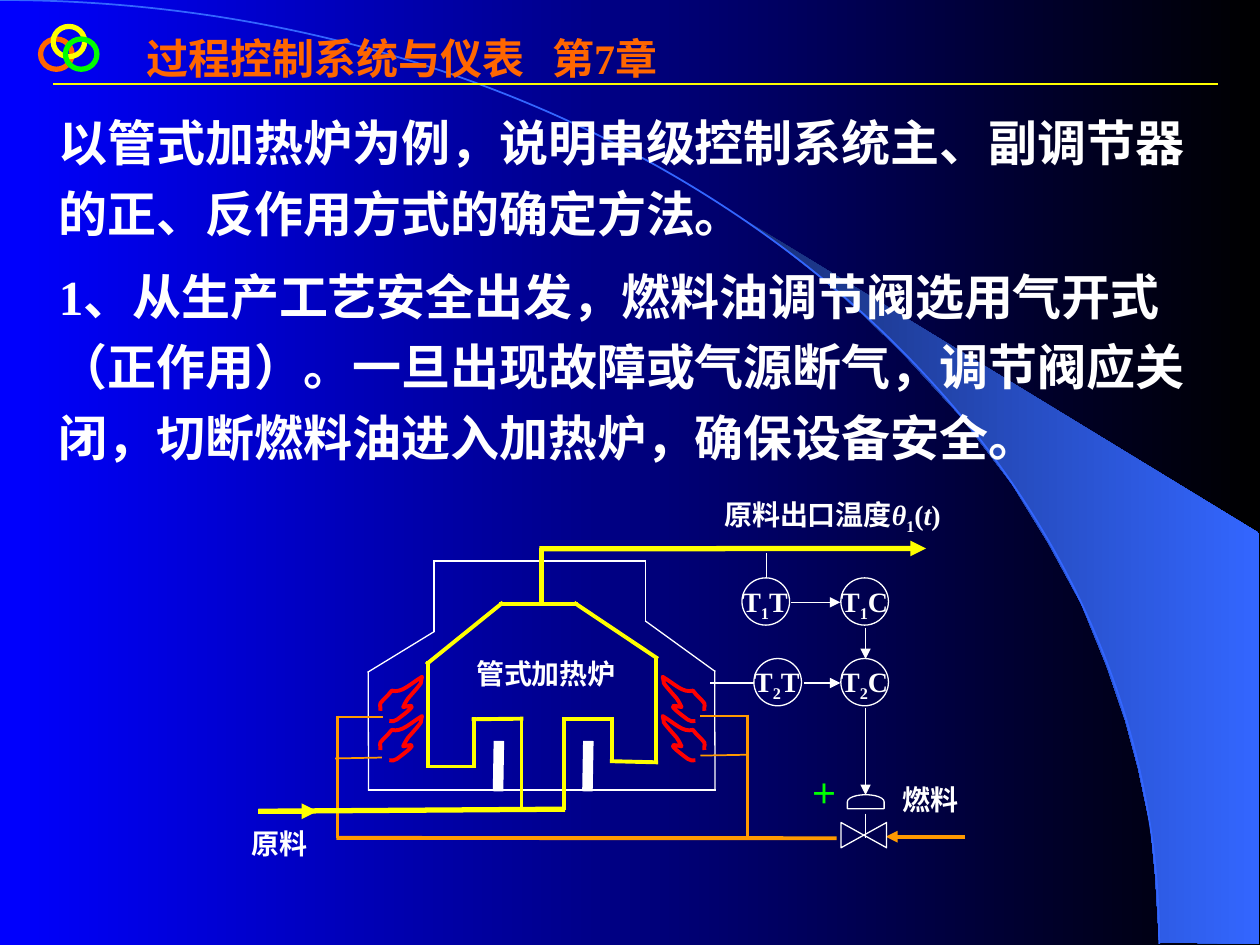
from dataclasses import dataclass
from itertools import pairwise

from lxml import etree
from pptx import Presentation
from pptx.dml.color import RGBColor
from pptx.enum import shapes, text
from pptx.oxml.ns import qn
from pptx.util import Pt


@dataclass(frozen=True)
class Theme:
    font: str = "Times New Roman"
    title_size: int = 24
    body_size: int = 28
    label_size: int = 16
    blue: RGBColor = RGBColor.from_string("0000FF")
    black: RGBColor = RGBColor.from_string("000000")
    navy: RGBColor = RGBColor.from_string("182F76")
    sky: RGBColor = RGBColor.from_string("3366FF")
    white: RGBColor = RGBColor.from_string("FFFFFF")
    yellow: RGBColor = RGBColor.from_string("FFFF00")
    orange: RGBColor = RGBColor.from_string("FF6600")
    amber: RGBColor = RGBColor.from_string("FF9900")
    red: RGBColor = RGBColor.from_string("FF0000")
    green: RGBColor = RGBColor.from_string("00FF00")


theme = Theme()
presentation = Presentation()
presentation.slide_width, presentation.slide_height = Pt(720), Pt(540)
slide = presentation.slides.add_slide(presentation.slide_layouts[5])


def add_text(box, paragraphs, size=theme.label_size, color=theme.white, spacing=1.0,
             before=0, anchor=text.MSO_ANCHOR.TOP, wrap=True, shape=None):
    """Fill a box; each paragraph is a string or a list of (text, style) runs."""
    left, top, width, height = map(Pt, box)
    if shape is None:
        shape = slide.shapes.add_textbox(left, top, width, height)
    shape.left, shape.top, shape.width, shape.height = left, top, width, height
    frame = shape.text_frame
    frame.word_wrap, frame.vertical_anchor = wrap, anchor
    frame.auto_size = text.MSO_AUTO_SIZE.NONE
    for index, runs in enumerate(paragraphs):
        paragraph = frame.add_paragraph() if index else frame.paragraphs[0]
        paragraph.alignment = text.PP_ALIGN.LEFT
        paragraph.line_spacing = spacing
        paragraph.space_before = Pt(before if index else 0)
        for words, style in [(runs, "")] if isinstance(runs, str) else runs:
            run = paragraph.add_run()
            run.text = words
            run.font.name, run.font.size, run.font.bold = theme.font, Pt(size), True
            run.font.color.rgb = color
            if style == "italic":
                run.font.italic = True
            elif style == "sub":
                run._r.get_or_add_rPr().set("baseline", "-25000")
    return shape


def add_outline(points, closed=False, curved=False):
    """Draw a freeform; when curved, every three points make one cubic curve."""
    first, *rest = [(Pt(x), Pt(y)) for x, y in points]
    builder = slide.shapes.build_freeform(*first)
    builder.add_line_segments(rest, close=closed)
    shape = builder.convert_to_shape()
    shape.shadow.inherit = False
    if curved:
        outline = next(shape._element.iter(qn("a:path")))
        for index, segment in enumerate(outline.findall(qn("a:lnTo"))):
            if index % 3 == 0:
                curve = etree.SubElement(outline, qn("a:cubicBezTo"))
            curve.append(segment[0])
            outline.remove(segment)
    return shape


# Background and light wedge beside the arc
wedge = add_outline([
    (662.4, 538.6), (719.3, 539.3), (719.3, 304.6), (424, 124.6), (449.3, 143.3),
    (470.2, 159.8), (493.2, 180), (515.5, 201.6), (548.6, 237.6), (578.2, 276.5),
    (599, 310.3), (617.8, 344.9), (632.2, 380.2), (643, 411.8), (650.2, 438.5),
    (657.4, 472.3), (660.2, 501.1), (662.4, 538.6)])
wedge.line.fill.background()
for fill, colors in ((slide.background.fill, (theme.blue, theme.black)),
                     (wedge.fill, (theme.navy, theme.sky))):
    fill.gradient()
    fill.gradient_angle = 0
    for stop, color in zip(fill.gradient_stops, colors):
        stop.color.rgb = color

# Arc and burner flames; the left flames mirror the right ones
arc = [(0, 0), (365.8, 0), (662.4, 241.2), (662.4, 539.3)]
flame = [(18.7, 25.2), (17.3, 25.2), (15.8, 25.9), (14.4, 24.5),
         (0.7, 14.4), (6.5, 16.6), (10.8, 17.3), (10.1, 15.8), (9.4, 14.4), (7.9, 12.2),
         (7.9, 12.2), (1.4, 5), (0.7, 3.6), (0, 2.2), (0.7, 0.7), (0, 0),
         (7.2, 4.3), (11.5, 9.4), (17.3, 7.9), (19.4, 10.8), (22.3, 13), (23.8, 15.1),
         (24.5, 17.3), (23, 18), (23.8, 19.4)]
curves = [(arc, theme.sky, 1)]
for left, side in ((378.7, 1), (241.2, -1)):
    for top in (386.8, 409.2):
        curves.append(([(left + side * x, top + y) for x, y in flame], theme.red, 2.25))
for points, color, width in curves:
    curve = add_outline(points, curved=True)
    curve.fill.background()
    curve.line.color.rgb, curve.line.width = color, Pt(width)

# Title, with a tab before the chapter number
title = add_text((76.3, 15.1, 323.3, 44), ["过程控制系统与仪表\t第7章"], theme.title_size,
                 theme.orange, shape=slide.shapes.title)
properties = title.text_frame.paragraphs[0]._p.get_or_add_pPr()
tabs = etree.SubElement(properties, qn("a:tabLst"))
etree.SubElement(tabs, qn("a:tab"), pos=str(Pt(232)), algn="l")
slide.shapes._spTree.append(title._element)

# Body text
add_text((26.6, 54, 671.8, 216), [
    "以管式加热炉为例，说明串级控制系统主、副调节器的正、反作用方式的确定方法。",
    "1、从生产工艺安全出发，燃料油调节阀选用气开式（正作用）。一旦出现故障或气源断气，"
    "调节阀应关闭，切断燃料油进入加热炉，确保设备安全。",
], theme.body_size, spacing=1.2, before=7, anchor=text.MSO_ANCHOR.MIDDLE)

# Pipes, walls and signals: colour, width, arrow at the end, points
lines = [
    (theme.yellow, 1.5, False, [(30.2, 48), (696.2, 48)]),
    # furnace shell and posts
    (theme.white, 0.75, False, [(210.6, 451.4), (210.4, 384), (248, 361), (248, 320.6),
                                (369, 320.6), (369, 355), (408.4, 383.5), (408.6, 451.4),
                                (210.6, 451.4)]),
    (theme.white, 6, False, [(284.6, 452.2), (285.1, 423.4)]),
    (theme.white, 6, False, [(335.7, 452.2), (336.2, 423.4)]),
    # fuel piping
    (theme.amber, 2.25, False, [(192.2, 478.8), (478.1, 479)]),
    (theme.amber, 2.25, True, [(551.5, 478.1), (506.2, 478.1)]),
    (theme.amber, 1.5, False, [(427, 408.4), (427, 478.5)]),
    (theme.amber, 1.5, False, [(193, 409), (193, 479)]),
    (theme.amber, 1, False, [(427, 409), (400.3, 409)]),
    (theme.amber, 1, False, [(426.5, 431.3), (400.3, 431.8)]),
    (theme.amber, 1, False, [(218.9, 409.7), (192.2, 409.7)]),
    (theme.amber, 1, False, [(218.2, 432.9), (191.5, 433.4)]),
    # heating coil, feed and outlet
    (theme.yellow, 2.25, False, [(298, 463), (298, 410.7), (270.7, 411), (270.7, 438),
                                 (244.4, 438), (244.4, 379), (286.5, 345), (329, 345),
                                 (375, 375.8), (375, 435.6), (349.6, 435), (349.6, 411),
                                 (322.4, 411), (322.4, 462)]),
    (theme.yellow, 3, False, [(147.6, 463.6), (323, 462.4)]),
    (theme.yellow, 3, True, [(147.6, 463.6), (181.4, 463.6)]),
    (theme.yellow, 3, False, [(309.6, 345.5), (309.6, 313)]),
    (theme.yellow, 3, True, [(308.2, 313.6), (529.2, 313.4)]),
    # measuring and control signals
    (theme.white, 0.75, False, [(438, 316), (438, 330.5)]),
    (theme.white, 0.75, False, [(406, 390.3), (430.6, 390.3)]),
    (theme.white, 0.75, False, [(494.6, 465), (494.6, 478.8)]),
    (theme.white, 0.75, True, [(452.2, 344.2), (480.2, 344.2)]),
    (theme.white, 0.75, True, [(459.4, 390.3), (480.2, 390.3)]),
    (theme.white, 0.75, True, [(494.6, 358.6), (494.6, 376.6)]),
    (theme.white, 0.75, True, [(494.6, 404.6), (494.6, 454.3)]),
]
for color, width, arrow, points in lines:
    for start, end in pairwise(points):
        line = slide.shapes.add_connector(shapes.MSO_CONNECTOR.STRAIGHT,
                                          *map(Pt, start + end))
        line.line.color.rgb, line.line.width = color, Pt(width)
        etree.SubElement(line._element.spPr, qn("a:effectLst"))
        stroke = line.line._get_or_add_ln()
        if len(points) > 2:
            stroke.set("cap", "sq")
        if arrow:
            etree.SubElement(stroke, qn("a:tailEnd"), type="triangle")

# Emblem rings, instrument circles and control valve
instruments = [("T", "1", "T", 424, 330.2), ("T", "1", "C", 480.5, 330.2),
               ("T", "2", "T", 430.8, 376.3), ("T", "2", "C", 480.5, 376.3)]
kind = shapes.MSO_SHAPE
symbols = [(kind.OVAL, (x, y, 18, 17.3), 0, color, 3) for x, y, color in (
    (23.2, 22.3, theme.orange), (30.4, 15.1, theme.yellow), (37.4, 22.3, theme.green))]
symbols += [(kind.OVAL, (x, y, 27.2, 27), 0, theme.white, 0.75) for *_, x, y in instruments]
symbols += [(kind.FLOWCHART_COLLATE, (486.4, 464.2, 14.4, 26), 270, theme.white, 0.75),
            (kind.FLOWCHART_DELAY, (490.7, 447.6, 8, 21), 270, theme.white, 0.75)]
for preset, box, rotation, color, width in symbols:
    symbol = slide.shapes.add_shape(preset, *map(Pt, box))
    symbol.shadow.inherit = False
    symbol.rotation = rotation
    symbol.fill.background()
    symbol.line.color.rgb, symbol.line.width = color, Pt(width)

# Diagram labels
for letter, number, function, x, y in instruments:
    add_text((x - 6.9, y, 43.5, 24), [[(letter, ""), (number, "sub"), (function, "")]])
add_text((406.8, 280.8, 158.4, 28), [[("原料出口温度", ""), ("θ", "italic"), ("1", "sub"),
                                      ("(", ""), ("t", "italic"), (")", "")]])
for label, box in (("原料", (136.8, 468.7, 52, 26.6)), ("燃料", (508.7, 443.5, 50, 24.5)),
                   ("管式加热炉", (265, 371.5, 96.5, 29.5))):
    add_text(box, [label])
add_text((455.8, 436.3, 30.2, 30.2), ["＋"], color=theme.green, spacing=1.2, wrap=False)

presentation.save("out.pptx")
